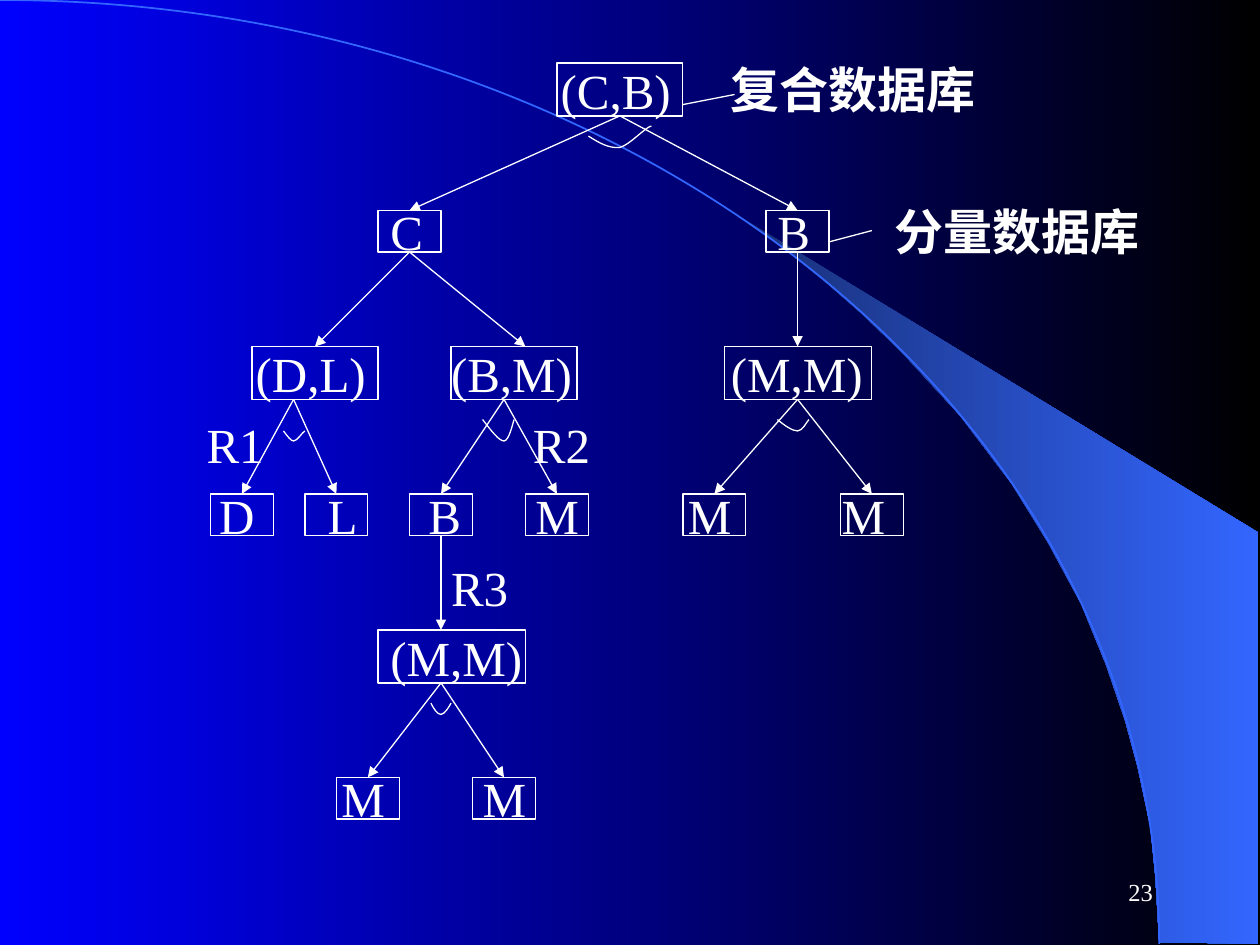
from lxml import etree
from pptx import Presentation
from pptx.dml.color import RGBColor
from pptx.enum.shapes import MSO_CONNECTOR, MSO_SHAPE
from pptx.enum.text import MSO_ANCHOR, PP_ALIGN
from pptx.oxml.ns import qn
from pptx.util import Inches, Pt

RECTANGLE = MSO_SHAPE.RECTANGLE
STRAIGHT = MSO_CONNECTOR.STRAIGHT
MIDDLE = MSO_ANCHOR.MIDDLE
LEFT, RIGHT = PP_ALIGN.LEFT, PP_ALIGN.RIGHT
FONT = "Times New Roman"
COLORS = {name: RGBColor.from_string(value) for name, value in {
    "blue": "0000FF", "black": "000000", "navy": "182F76",
    "sky": "3366FF", "white": "FFFFFF"}.items()}


def draw_outline(points, curved):
    scaled = [(Inches(x), Inches(y)) for x, y in points]
    builder = page.shapes.build_freeform(*scaled[0], scale=1.0)
    builder.add_line_segments(scaled[1:], close=not curved)
    outline = builder.convert_to_shape()
    outline.shadow.inherit = False
    outline.fill.background()
    if curved:
        geometry = next(outline._element.iter(qn("a:path")))
        segments = geometry.findall(qn("a:lnTo"))
        for first in range(0, len(segments), 3):
            curve = etree.SubElement(geometry, qn("a:cubicBezTo"))
            for segment in segments[first:first + 3]:
                curve.append(segment[0])
                geometry.remove(segment)
    return outline


deck = Presentation()
deck.slide_width, deck.slide_height = Inches(10), Inches(7.5)
page = deck.slides.add_slide(deck.slide_layouts[6])

swoosh = draw_outline([
    (9.2, 7.48), (9.99, 7.49), (9.99, 4.23), (5.89, 1.73), (6.24, 1.99),
    (6.53, 2.22), (6.85, 2.5), (7.16, 2.8), (7.62, 3.3), (8.03, 3.84),
    (8.32, 4.31), (8.58, 4.79), (8.78, 5.28), (8.93, 5.72), (9.03, 6.09),
    (9.13, 6.56), (9.17, 6.96)], curved=False)
swoosh.line.fill.background()
for fill, shades in ((page.background.fill, ("blue", "black")),
                     (swoosh.fill, ("navy", "sky"))):
    fill.gradient()
    fill.gradient_angle = 0
    for position, (stop, shade) in enumerate(zip(fill.gradient_stops, shades)):
        stop.position = position
        stop.color.rgb = COLORS[shade]

horizon = draw_outline([(0, 0), (5.08, 0), (9.2, 3.35), (9.2, 7.49)], curved=True)
horizon.line.color.rgb = COLORS["sky"]
horizon.line.width = Pt(1)

NODES = [
    (0.5, 0.42, [(4.42, 1, 4.45, "(C,B)")]),
    (1.67, 0.33, [(3, 0.5, 3.1, "C"), (6.08, 0.5, 6.17, "B")]),
    (2.75, 0.42, [(2, 1, 2.03, "(D,L)"), (3.58, 1, 3.58, "(B,M)"),
                  (5.75, 1.17, 5.8, "(M,M)")]),
    (3.92, 0.33, [(1.67, 0.5, 1.74, "D"), (2.42, 0.5, 2.6, "L"),
                  (3.25, 0.5, 3.4, "B"), (4.17, 0.5, 4.25, "M"),
                  (5.42, 0.5, 5.46, "M"), (6.67, 0.5, 6.68, "M")]),
    (5, 0.42, [(3, 1.17, 3.1, "(M,M)")]),
    (6.17, 0.33, [(2.67, 0.5, 2.71, "M"), (3.75, 0.5, 3.83, "M")]),
]
white_outlines = []
texts = []
for top, height, nodes in NODES:
    for left, width, text_left, label in nodes:
        node = page.shapes.add_shape(
            RECTANGLE, Inches(left), Inches(top), Inches(width), Inches(height))
        node.shadow.inherit = False
        node.fill.background()
        white_outlines.append(node)
        texts.append((node, label, text_left - left, 28, LEFT))

NOTES = [
    (5.8, 0.47, 2.2, "复合数据库"),
    (7.1, 1.6, 2.2, "分量数据库"),
    (1.64, 3.29, 0.6, "R1"),
    (4.23, 3.29, 0.6, "R2"),
    (3.58, 4.42, 0.6, "R3"),
]
for left, top, width, label in NOTES:
    box = page.shapes.add_textbox(
        Inches(left), Inches(top), Inches(width), Inches(0.47))
    texts.append((box, label, 0, 28, LEFT))
number_box = page.shapes.add_textbox(
    Inches(7.17), Inches(6.83), Inches(1.98), Inches(0.5))
texts.append((number_box, "23", 0, 14, RIGHT))

for box, label, inset, size, alignment in texts:
    frame = box.text_frame
    frame.word_wrap = True
    frame.vertical_anchor = MIDDLE
    frame.margin_left = Inches(inset)
    frame.margin_top = frame.margin_right = frame.margin_bottom = 0
    frame.text = label
    para = frame.paragraphs[0]
    para.alignment = alignment
    para.line_spacing = Pt(size * 1.2)
    span = para.runs[0]
    span.font.name = FONT
    span.font.size = Pt(size)
    span.font.bold = not label.isascii()
    span.font.color.rgb = COLORS["white"]

BRANCHES = [
    ((4.92, 0.92), 1.67, (3.25, 6.33)),
    ((3.25, 2), 2.75, (2.5, 4.17)),
    ((6.33, 2), 2.75, (6.33,)),
    ((2.33, 3.17), 3.92, (1.92, 2.67)),
    ((4, 3.17), 3.92, (3.5, 4.42)),
    ((6.33, 3.17), 3.92, (5.67, 6.92)),
    ((3.5, 4.25), 5, (3.5,)),
    ((3.5, 5.42), 6.17, (2.92, 4)),
]
links = [(start, (x, bottom), True) for start, bottom, ends in BRANCHES for x in ends]
links += [((5.42, 0.83), (5.83, 0.75), False), ((6.58, 1.92), (6.92, 1.83), False)]
for start, end, has_arrow in links:
    link = page.shapes.add_connector(
        STRAIGHT, *(Inches(value) for value in (*start, *end)))
    link.line.color.rgb = COLORS["white"]
    link.line.width = Pt(0.75)
    if has_arrow:
        etree.SubElement(link.line._get_or_add_ln(), qn("a:tailEnd"), type="triangle")
    etree.SubElement(link._element.spPr, qn("a:effectLst"))

AND_ARCS = [
    [(4.67, 1.08), (4.75, 1.13), (4.83, 1.18), (4.92, 1.17), (5, 1.15), (5.12, 1.01), (5.17, 1)],
    [(2.25, 3.42), (2.28, 3.46), (2.31, 3.5), (2.33, 3.5), (2.36, 3.5), (2.4, 3.43), (2.42, 3.42)],
    [(3.83, 3.33), (3.9, 3.42), (3.96, 3.5), (4, 3.5), (4.04, 3.5), (4.07, 3.36), (4.08, 3.33)],
    [(6.17, 3.33), (6.23, 3.38), (6.29, 3.42), (6.33, 3.42), (6.37, 3.42), (6.4, 3.35), (6.42, 3.33)],
    [(3.42, 5.58), (3.44, 5.62), (3.47, 5.67), (3.5, 5.67), (3.53, 5.67), (3.57, 5.6), (3.58, 5.58)],
]
for controls in AND_ARCS:
    white_outlines.append(draw_outline(controls, curved=True))

for outline in white_outlines:
    outline.line.color.rgb = COLORS["white"]
    outline.line.width = Pt(0.75)

deck.save("out.pptx")
